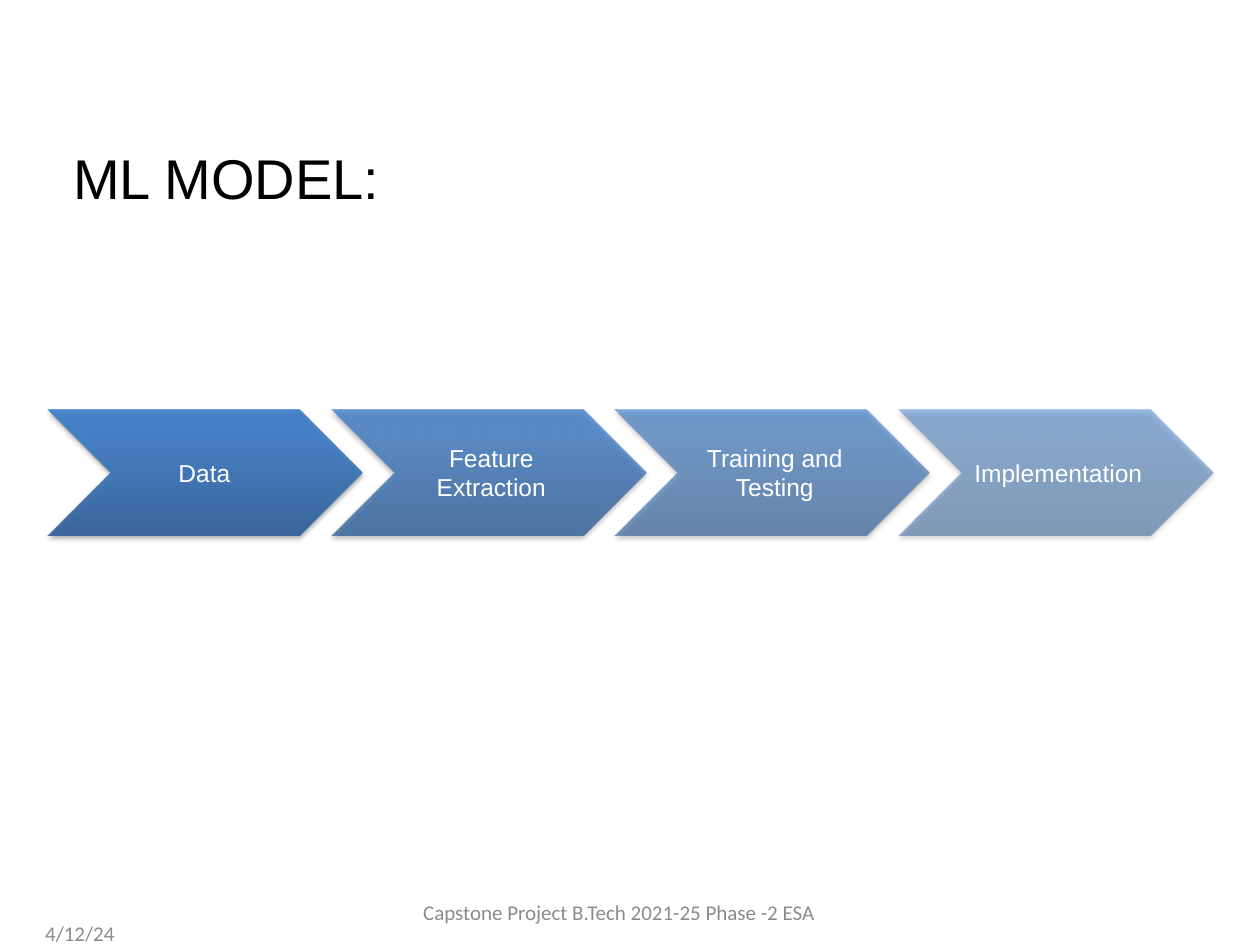
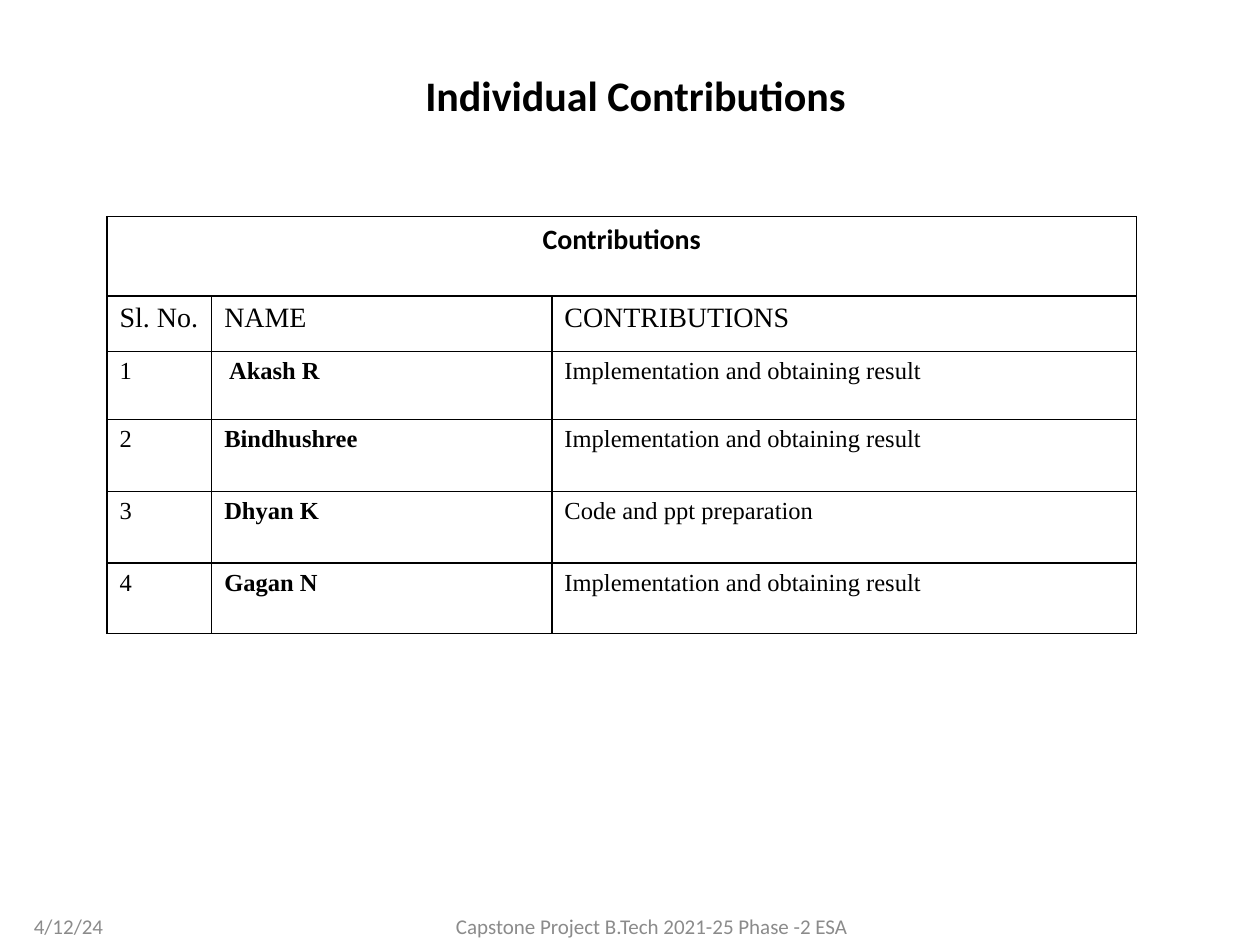
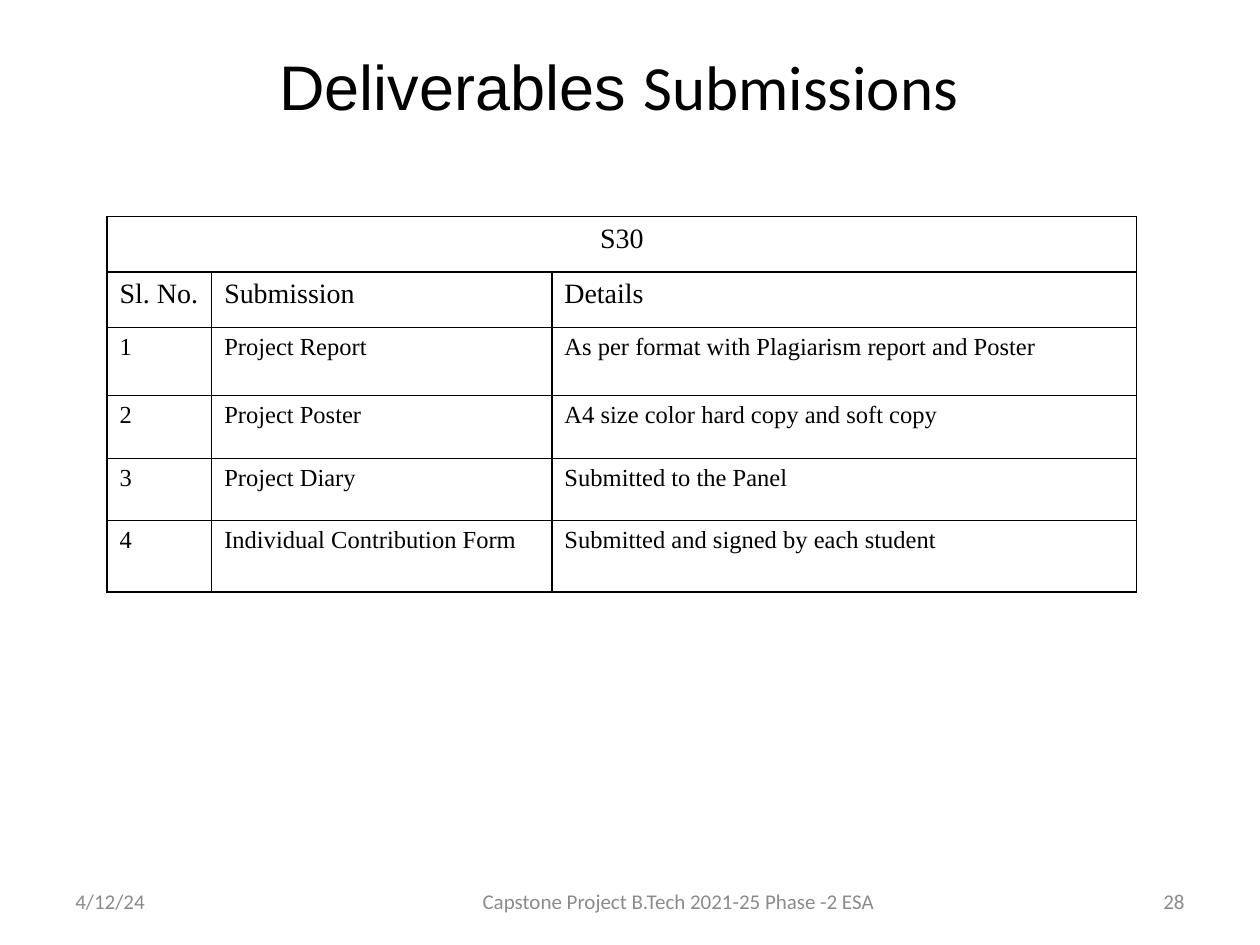
"""Build three capstone review slides: the model pipeline, contributions and deliverables."""
from dataclasses import dataclass

from lxml import etree
from pptx import Presentation
from pptx.dml.color import RGBColor
from pptx.enum.shapes import MSO_SHAPE
from pptx.enum.text import MSO_ANCHOR, MSO_AUTO_SIZE, PP_ALIGN
from pptx.oxml.ns import qn
from pptx.util import Inches, Pt

LEFT, CENTER, RIGHT = PP_ALIGN.LEFT, PP_ALIGN.CENTER, PP_ALIGN.RIGHT
TOP, MIDDLE = MSO_ANCHOR.TOP, MSO_ANCHOR.MIDDLE
CHEVRON = MSO_SHAPE.CHEVRON
NO_AUTOFIT = MSO_AUTO_SIZE.NONE


@dataclass(frozen=True)
class Theme:
    ink: str = "000000"
    muted: str = "8B8B8B"
    light: str = "FFFFFF"
    gradient: tuple = ((0, "2F5F99"), (80, "3D7CC7"), (100, "3A7CCB"))
    sans: str = "Arial"
    body: str = "Calibri"
    serif: str = "Times New Roman"
    footer_size: int = 12
    cell_size: int = 14
    step_size: int = 14
    heading_size: int = 16
    border: int = 1


THEME = Theme()


def write(paragraph, text, name, size, color=THEME.ink, align=LEFT, bold=False):
    """Add one formatted run to a paragraph."""
    paragraph.alignment = align
    font = paragraph.add_run().font
    paragraph.runs[-1].text = text
    for attribute, value in {"name": name, "size": Pt(size), "bold": bold}.items():
        setattr(font, attribute, value)
    font.color.rgb = RGBColor.from_string(color)


def add_color(parent, color, alpha=100):
    """Add an RGB colour with an opacity in percent to an XML element."""
    rgb = etree.SubElement(parent, qn("a:srgbClr"), val=color)
    etree.SubElement(rgb, qn("a:alpha"), val=str(alpha * 1000))


prs = Presentation()
prs.slide_width, prs.slide_height = Inches(10), Inches(7.5)
title_only = prs.slide_layouts[5]

COURSE = "Capstone Project B.Tech 2021-25 Phase -2 ESA"
DATE = "4/12/24"
pages = [
    {
        "title": [("ML MODEL:", THEME.sans, 32, False)],
        "title_box": (0.48, 1.09, 4.64, 0.65), "title_align": LEFT, "title_anchor": TOP,
        "footer_anchor": TOP,
        "footers": [(DATE, (0.26, 7.26, 1.68, 0.61), LEFT),
                    (COURSE, (3.26, 7.09, 4.59, 0.61), LEFT)],
    },
    {
        "title": [("Individual Contributions", THEME.body, 24, True)],
        "title_box": (0.96, 0.5, 8.17, 0.81), "title_align": CENTER, "title_anchor": TOP,
        "footer_anchor": TOP,
        "footers": [(DATE, (0.17, 7.2, 1.57, 0.61), LEFT),
                    (COURSE, (3.52, 7.2, 5.01, 0.5), LEFT)],
        "heading": ("Contributions", THEME.body, True),
        "row_heights": (0.63, 0.44, 0.54, 0.57, 0.57, 0.56),
        "bold_names": True,
        "rows": [
            ("Sl. No.", "NAME", "CONTRIBUTIONS"),
            ("1", " Akash R", "Implementation and obtaining result"),
            ("2", "Bindhushree", "Implementation and obtaining result"),
            ("3", "Dhyan K", "Code and ppt preparation"),
            ("4", "Gagan N", "Implementation and obtaining result"),
        ],
    },
    {
        "title": [("Deliverables ", THEME.sans, 36, False),
                  ("Submissions", THEME.body, 36, False)],
        "title_box": (0.85, 0.37, 8.12, 0.61), "title_align": CENTER, "title_anchor": MIDDLE,
        "footer_anchor": MIDDLE,
        "footers": [(DATE, (0.5, 6.95, 2.33, 0.4), LEFT),
                    (COURSE, (3.21, 6.95, 4.35, 0.4), CENTER),
                    ("28", (7.17, 6.95, 2.33, 0.4), RIGHT)],
        "heading": ("S30", THEME.serif, False),
        "row_heights": (0.44, 0.44, 0.54, 0.5, 0.49, 0.57),
        "bold_names": False,
        "rows": [
            ("Sl. No.", "Submission", "Details"),
            ("1", "Project Report", "As per format with Plagiarism report and Poster"),
            ("2", "Project Poster", "A4 size color hard copy and soft copy"),
            ("3", "Project Diary", "Submitted to the Panel"),
            ("4", "Individual Contribution Form", "Submitted and signed by each student"),
        ],
    },
]

for page in pages:
    slide = prs.slides.add_slide(title_only)
    title = slide.shapes.title
    for side, value in zip(("left", "top", "width", "height"), page["title_box"]):
        setattr(title, side, Inches(value))
    title_frame = title.text_frame
    title_frame.auto_size = NO_AUTOFIT
    title_frame.vertical_anchor = page["title_anchor"]
    for text, name, size, bold in page["title"]:
        write(title_frame.paragraphs[0], text, name, size, align=page["title_align"], bold=bold)

    for text, box, align in page["footers"]:
        footer = slide.shapes.add_textbox(*map(Inches, box)).text_frame
        footer.word_wrap = True
        footer.vertical_anchor = page["footer_anchor"]
        write(footer.paragraphs[0], text, THEME.body, THEME.footer_size, THEME.muted, align)

    if "rows" not in page:
        continue
    heights = page["row_heights"]
    column_widths = (0.83, 2.7, 4.64)
    table = slide.shapes.add_table(
        len(heights), len(column_widths), Inches(0.85), Inches(1.72),
        Inches(sum(column_widths)), Inches(sum(heights))).table
    table.first_row = table.horz_banding = False
    for column, width in zip(table.columns, column_widths):
        column.width = Inches(width)
    for row, height in zip(table.rows, heights):
        row.height = Inches(height)
    for cell in table.iter_cells():
        cell.fill.background()
        properties = cell._tc.get_or_add_tcPr()
        for position, edge in enumerate(("a:lnL", "a:lnR", "a:lnT", "a:lnB")):
            border = etree.Element(qn(edge), w=str(Pt(THEME.border)))
            add_color(etree.SubElement(border, qn("a:solidFill")), THEME.ink)
            properties.insert(position, border)

    heading, heading_font, heading_bold = page["heading"]
    table.cell(0, 0).merge(table.cell(0, 2))
    write(table.cell(0, 0).text_frame.paragraphs[0], heading, heading_font,
          THEME.heading_size, align=CENTER, bold=heading_bold)
    for row_index, entries in enumerate(page["rows"], start=1):
        is_header = row_index == 1
        for column_index, entry in enumerate(entries):
            write(table.cell(row_index, column_index).text_frame.paragraphs[0], entry,
                  THEME.serif, THEME.heading_size if is_header else THEME.cell_size,
                  bold=page["bold_names"] and column_index == 1 and not is_header)

steps = [("Data ", 90), ("Feature Extraction", 77),
         ("Training and Testing", 63), ("Implementation", 50)]
pipeline = prs.slides[0].shapes
for index, (label, opacity) in enumerate(steps):
    step_left = 0.38 + 2.25 * index
    step = pipeline.add_shape(
        CHEVRON, Inches(step_left), Inches(3.25), Inches(2.5), Inches(1))
    step.line.fill.background()
    step.fill.gradient()
    step.fill.gradient_angle = 90
    stops = step._element.spPr.find(qn("a:gradFill")).find(qn("a:gsLst"))
    for stop in list(stops):
        stops.remove(stop)
    for position, color in THEME.gradient:
        add_color(etree.SubElement(stops, qn("a:gs"), pos=str(position * 1000)), color, opacity)

    step.shadow.inherit = False
    shadow = etree.SubElement(
        step._element.spPr.find(qn("a:effectLst")), qn("a:outerShdw"),
        blurRad=str(Pt(3.1)), dist=str(Pt(1.8)), dir="5400000", rotWithShape="0")
    add_color(shadow, THEME.ink, 35)

    step_label = pipeline.add_textbox(
        Inches(step_left + 0.5), Inches(3.25), Inches(1.5), Inches(1)).text_frame
    for attribute, value in {
        "word_wrap": True, "vertical_anchor": MIDDLE, "margin_left": Inches(0.06),
        "margin_right": Inches(0.02), "margin_top": Inches(0.02), "margin_bottom": Inches(0.02),
    }.items():
        setattr(step_label, attribute, value)
    write(step_label.paragraphs[0], label, THEME.sans, THEME.step_size, THEME.light, CENTER)

prs.save("out.pptx")
